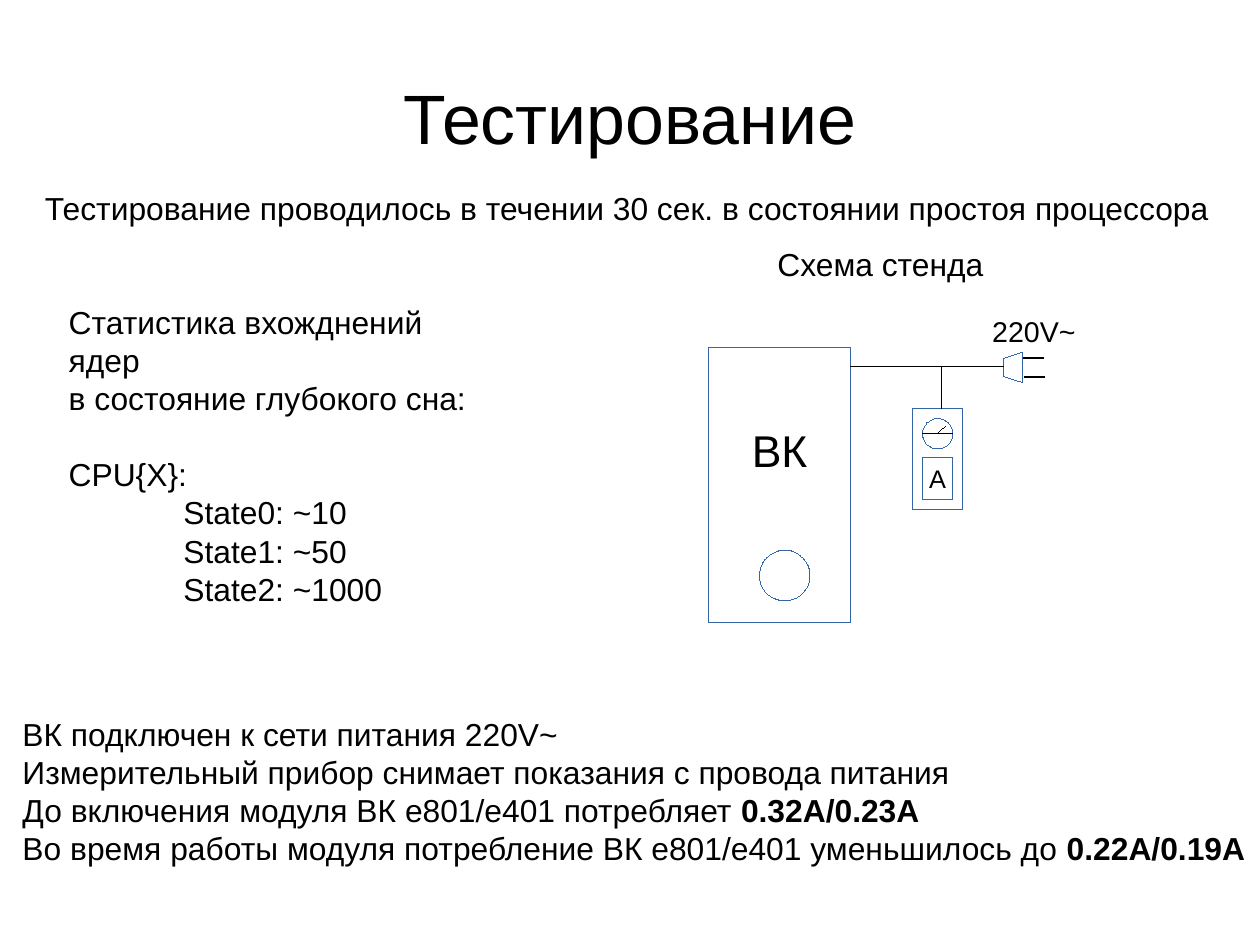
from dataclasses import dataclass

from lxml import etree
from pptx import Presentation
from pptx.dml.color import RGBColor
from pptx.enum.shapes import MSO_CONNECTOR, MSO_SHAPE
from pptx.enum.text import MSO_ANCHOR, MSO_AUTO_SIZE, PP_ALIGN
from pptx.oxml.ns import qn
from pptx.util import Emu, Pt

RECT = MSO_SHAPE.RECTANGLE
OVAL = MSO_SHAPE.OVAL
PLUG = MSO_SHAPE.FLOWCHART_MANUAL_OPERATION
STRAIGHT = MSO_CONNECTOR.STRAIGHT
LEFT, CENTER = PP_ALIGN.LEFT, PP_ALIGN.CENTER
TOP, MIDDLE = MSO_ANCHOR.TOP, MSO_ANCHOR.MIDDLE
GROW, FIXED = MSO_AUTO_SIZE.SHAPE_TO_FIT_TEXT, MSO_AUTO_SIZE.NONE

SCALE = 9000  # 40 px to the centimetre
FONT = "Arial"
HAIRLINE = 0.01
COLORS = {"text": "000000", "wire": "000000", "outline": "3465A4", "fill": "FFFFFF"}
INSETS = (10, 5, 10, 5)


@dataclass
class Para:
    text: str
    bold_tail: str = ""
    before: int = 0
    indent: int = 0


@dataclass
class Label:
    box: tuple[int, int, int, int]
    paras: list[Para]
    size: int = 20
    wrap: bool = True


@dataclass
class Part:
    kind: MSO_SHAPE
    box: tuple[int, int, int, int]
    text: str = ""
    size: int = 18
    bottom: int = 5
    rotation: int = 0
    filled: bool = True


@dataclass
class Wire:
    start: tuple[int, int]
    end: tuple[int, int]
    width: float = HAIRLINE


LABELS = [
    Label((10, 630, 1110, 191), [
        Para("ВК подключен к сети питания 220V~"),
        Para("Измерительный прибор снимает показания с провода питания"),
        Para("До включения модуля ВК e801/e401 потребляет ", "0.32А/0.23А"),
        Para("Во время работы модуля потребление ВК e801/e401 уменьшилось до ",
             "0.22А/0.19А"),
    ]),
    Label((681, 213, 254, 42), [Para("Схема стенда")]),
    Label((51, 264, 405, 262), [
        Para("Статистика вхожднений ядер"),
        Para("в состояние глубокого сна:"),
        Para("CPU{X}:", before=24),
        Para("State0: ~10", indent=102),
        Para("State1: ~50", indent=102),
        Para("State2: ~1000", indent=102),
    ], wrap=False),
    Label((30, 163, 1055, 42), [
        Para("Тестирование проводилось в течении 30 сек. в состоянии простоя процессора"),
    ], wrap=False),
    Label((872, 274, 104, 67), [Para("220V~")], size=18),
]

PARTS = [
    Part(RECT, (630, 309, 126, 244), "ВК", size=28, bottom=67),
    Part(OVAL, (675, 489, 45, 45)),
    Part(RECT, (811, 363, 45, 90)),
    Part(RECT, (820, 407, 27, 37), "A", size=16),
    Part(OVAL, (820, 372, 27, 27)),
    Part(PLUG, (887, 318, 27, 17), rotation=90, filled=False),
]

WIRES = [
    Wire((820, 385), (847, 385)),
    Wire((833, 385), (840, 379)),
    Wire((756, 326), (892, 326)),
    Wire((910, 335), (929, 335), width=1),
    Wire((909, 318), (928, 318), width=1),
    Wire((837, 363), (837, 326)),
]


def px(*lengths: int) -> list[Emu]:
    return [Emu(n * SCALE) for n in lengths]


def color(name: str) -> RGBColor:
    return RGBColor.from_string(COLORS[name])


def write(tf, paras: list[Para], *, size: int, align=LEFT, anchor=TOP, fit=FIXED,
          wrap: bool = True, insets: tuple[int, int, int, int] = INSETS) -> None:
    tf.word_wrap = wrap
    tf.auto_size = fit
    tf.vertical_anchor = anchor
    tf.margin_left, tf.margin_top, tf.margin_right, tf.margin_bottom = px(*insets)
    for i, para in enumerate(paras):
        p = tf.add_paragraph() if i else tf.paragraphs[0]
        p.alignment = align
        p.space_before = Pt(para.before)
        if para.indent:
            p._p.get_or_add_pPr().set("marL", str(para.indent * SCALE))
        for text, bold in ((para.text, False), (para.bold_tail, True)):
            if text:
                r = p.add_run()
                r.text = text
                r.font.name, r.font.size, r.font.bold = FONT, Pt(size), bold
                r.font.color.rgb = color("text")


def add_label(slide, label: Label) -> None:
    tf = slide.shapes.add_textbox(*px(*label.box)).text_frame
    write(tf, label.paras, size=label.size, wrap=label.wrap, fit=GROW)


def add_part(slide, part: Part) -> None:
    sp = slide.shapes.add_shape(part.kind, *px(*part.box))
    sp.shadow.inherit = False
    sp.rotation = part.rotation
    if part.filled:
        sp.fill.solid()
        sp.fill.fore_color.rgb = color("fill")
    else:
        sp.fill.background()
    sp.line.color.rgb = color("outline")
    sp.line.width = Pt(HAIRLINE)
    if part.text:
        write(sp.text_frame, [Para(part.text)], size=part.size, align=CENTER,
              anchor=MIDDLE, wrap=False, insets=(10, 5, 10, part.bottom))


def add_wire(slide, wire: Wire) -> None:
    line = slide.shapes.add_connector(STRAIGHT, *px(*wire.start, *wire.end))
    line.line.color.rgb = color("wire")
    line.line.width = Pt(wire.width)
    etree.SubElement(line._element.spPr, qn("a:effectLst"))


def main() -> None:
    prs = Presentation()
    prs.slide_width, prs.slide_height = px(1120, 840)
    slide = prs.slides.add_slide(prs.slide_layouts[5])
    title = slide.shapes.title
    title.left, title.top, title.width, title.height = px(56, 34, 1008, 140)
    write(title.text_frame, [Para("Тестирование")], size=44, align=CENTER,
          anchor=MIDDLE, insets=(0, 0, 0, 0))
    for part in PARTS:
        add_part(slide, part)
    for wire in WIRES:
        add_wire(slide, wire)
    for label in LABELS:
        add_label(slide, label)
    prs.save("out.pptx")


if __name__ == "__main__":
    main()
